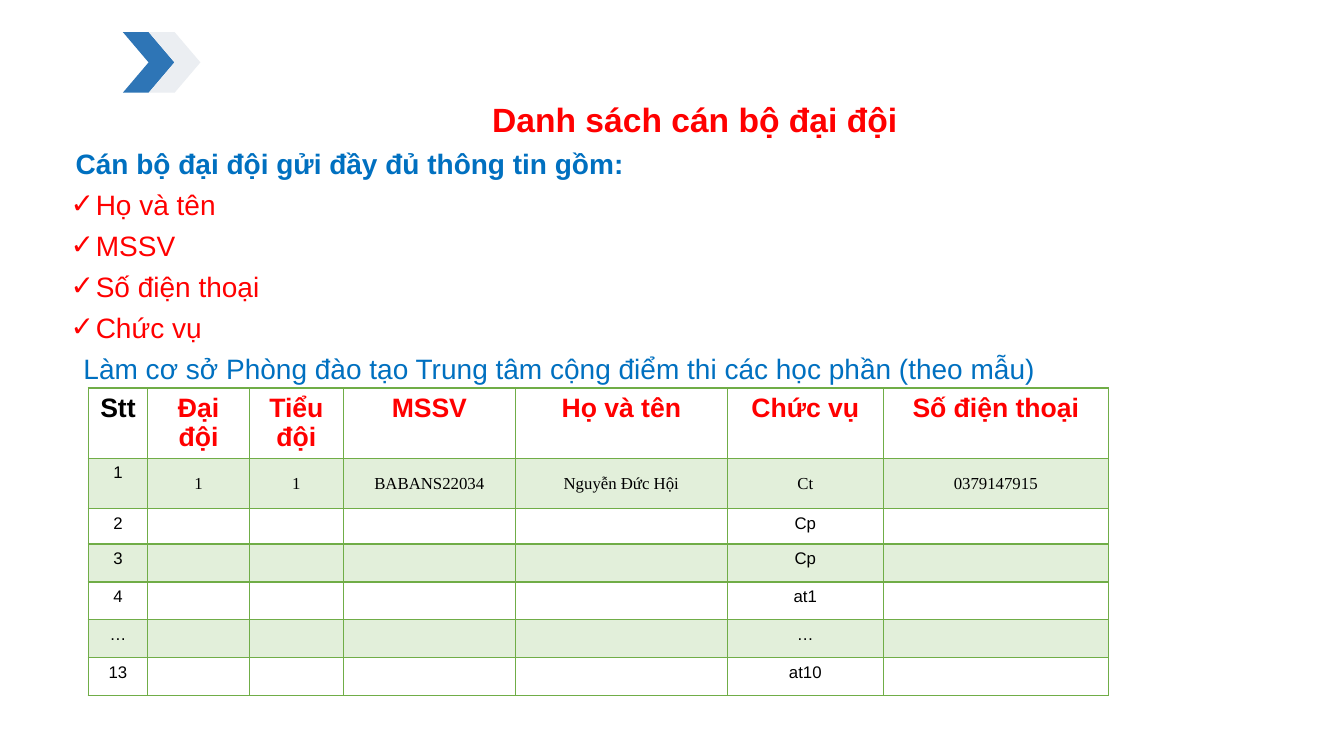
from dataclasses import dataclass

from lxml import etree
from pptx import Presentation
from pptx.dml.color import RGBColor
from pptx.enum import shapes, text
from pptx.oxml import ns
from pptx.util import Pt

TITLE = "Danh sách cán bộ đại đội"
INTRO = "Cán bộ đại đội gửi đầy đủ thông tin gồm:"
FIELDS = ["Họ và tên", "MSSV", "Số điện thoại", "Chức vụ"]
PURPOSE = "Làm cơ sở Phòng đào tạo Trung tâm cộng điểm thi các học phần (theo mẫu)"
HEADER = ["Stt", "Đại đội", "Tiểu đội", "MSSV", "Họ và tên", "Chức vụ", "Số điện thoại"]
SAMPLE = ["1", "1", "1", "BABANS22034", "Nguyễn Đức Hội", "Ct", "0379147915"]
RANKS = [("2", "Cp"), ("3", "Cp"), ("4", "at1"), ("…", "…"), ("13", "at10")]
ROWS = [HEADER, SAMPLE] + [[no, "", "", "", "", rank, ""] for no, rank in RANKS]

COL_WIDTHS = [42.5, 72.7, 67, 123.1, 151.2, 111.6, 160.6]
ROW_HEIGHTS = [50.4, 35.8, 25.2] + [27.1] * 4
TABLE_AT = (63, 277.2)
TITLE_BOX = (43.8, 70.5, 905, 28)
BODY_BOX = (43.2, 109.4, 902.2, 167)
CHEVRON_BOX = (87.8, 23, 36.7, 43.2)
CHEVRON_STEP = 18.6


@dataclass(frozen=True)
class Theme:
    sans: str = "Arial"
    serif: str = "Times New Roman"
    red: str = "FF0000"
    blue: str = "0070C0"
    black: str = "000000"
    white: str = "FFFFFF"
    border: str = "70AD47"
    band: str = "E2EFDA"
    chevrons: tuple = ("2E75B6", "EBEEF2")
    title_size: float = 24
    body_size: float = 20
    header_size: float = 19
    cell_size: float = 12


T = Theme()


def rgb(value):
    return RGBColor.from_string(value)


def style_runs(p, size, color, bold=False, font=T.sans):
    for r in p.runs:
        r.font.size, r.font.bold, r.font.name = Pt(size), bold, font
        r.font.color.rgb = rgb(color)


def place(sp, box, margin):
    """Move a placeholder and give it fixed, top-anchored text."""
    sp.left, sp.top, sp.width, sp.height = map(Pt, box)
    tf = sp.text_frame
    tf.word_wrap, tf.auto_size = True, text.MSO_AUTO_SIZE.NONE
    tf.vertical_anchor = text.MSO_ANCHOR.TOP
    tf.margin_left = tf.margin_right = Pt(margin)
    tf.margin_top = tf.margin_bottom = 0
    return tf


def set_bullet(p, left, hanging, char=None):
    pPr = p._p.get_or_add_pPr()
    pPr.set("marL", str(Pt(left)))
    pPr.set("indent", str(Pt(-hanging)))
    if char:
        etree.SubElement(pPr, ns.qn("a:buFont"), typeface=T.sans)
        etree.SubElement(pPr, ns.qn("a:buChar"), char=char)
    else:
        etree.SubElement(pPr, ns.qn("a:buNone"))


def set_borders(cell):
    tcPr = cell._tc.get_or_add_tcPr()
    for side in "LRTB":
        ln = etree.SubElement(tcPr, ns.qn("a:ln" + side), w=str(Pt(1)))
        fill = etree.SubElement(ln, ns.qn("a:solidFill"))
        etree.SubElement(fill, ns.qn("a:srgbClr"), val=T.border)


def add_chevrons(s):
    left, top, width, height = CHEVRON_BOX
    for i, color in enumerate(T.chevrons):
        sp = s.shapes.add_shape(shapes.MSO_SHAPE.CHEVRON, Pt(left + i * CHEVRON_STEP),
                                Pt(top), Pt(width), Pt(height))
        sp.shadow.inherit = False
        sp.fill.solid()
        sp.fill.fore_color.rgb = rgb(color)
        sp.line.fill.background()


def fill_body(sp):
    tf = place(sp, BODY_BOX, 7.2)
    lines = [(INTRO, T.blue, True, 3.6, 0, None)]
    lines += [(field, T.red, False, 18, 18, "✓") for field in FIELDS]
    lines.append((PURPOSE, T.blue, False, 9.2, 0, None))
    for i, (line, color, bold, left, hanging, bullet) in enumerate(lines):
        p = tf.add_paragraph() if i else tf.paragraphs[0]
        p.text = line
        p.line_spacing, p.space_before = 0.8, Pt(10 if i else 0)
        set_bullet(p, left, hanging, bullet)
        style_runs(p, T.body_size, color, bold)


def fill_cell(cell, value, row, col):
    p = cell.text_frame.paragraphs[0]
    p.text = value
    p.alignment = text.PP_ALIGN.CENTER
    if row == 0:
        style_runs(p, T.header_size, T.red if col else T.black, True)
    else:
        in_sample = row == 1 and col > 0
        style_runs(p, T.cell_size, T.black, font=T.serif if in_sample else T.sans)
        if in_sample:
            cell.vertical_anchor = text.MSO_ANCHOR.MIDDLE
            cell.margin_left = cell.margin_right = cell.margin_top = Pt(0.7)
            cell.margin_bottom = 0
    if not value:
        etree.SubElement(p._p, ns.qn("a:endParaRPr"), sz=str(int(T.cell_size * 100)))
    set_borders(cell)
    cell.fill.solid()
    cell.fill.fore_color.rgb = rgb(T.band if row % 2 else T.white)


def add_officer_table(s):
    left, top = TABLE_AT
    table = s.shapes.add_table(len(ROWS), len(HEADER), Pt(left), Pt(top),
                               Pt(sum(COL_WIDTHS)), Pt(sum(ROW_HEIGHTS))).table
    for column, width in zip(table.columns, COL_WIDTHS):
        column.width = Pt(width)
    for i, (values, height) in enumerate(zip(ROWS, ROW_HEIGHTS)):
        table.rows[i].height = Pt(height)
        for j, value in enumerate(values):
            fill_cell(table.cell(i, j), value, i, j)


def main():
    prs = Presentation()
    prs.slide_width, prs.slide_height = Pt(960), Pt(540)
    s = prs.slides.add_slide(prs.slide_layouts[1])
    add_chevrons(s)
    p = place(s.shapes.title, TITLE_BOX, 0).paragraphs[0]
    p.text = TITLE
    p.alignment = text.PP_ALIGN.CENTER
    style_runs(p, T.title_size, T.red, True)
    fill_body(s.placeholders[1])
    add_officer_table(s)
    prs.save("out.pptx")


if __name__ == "__main__":
    main()
